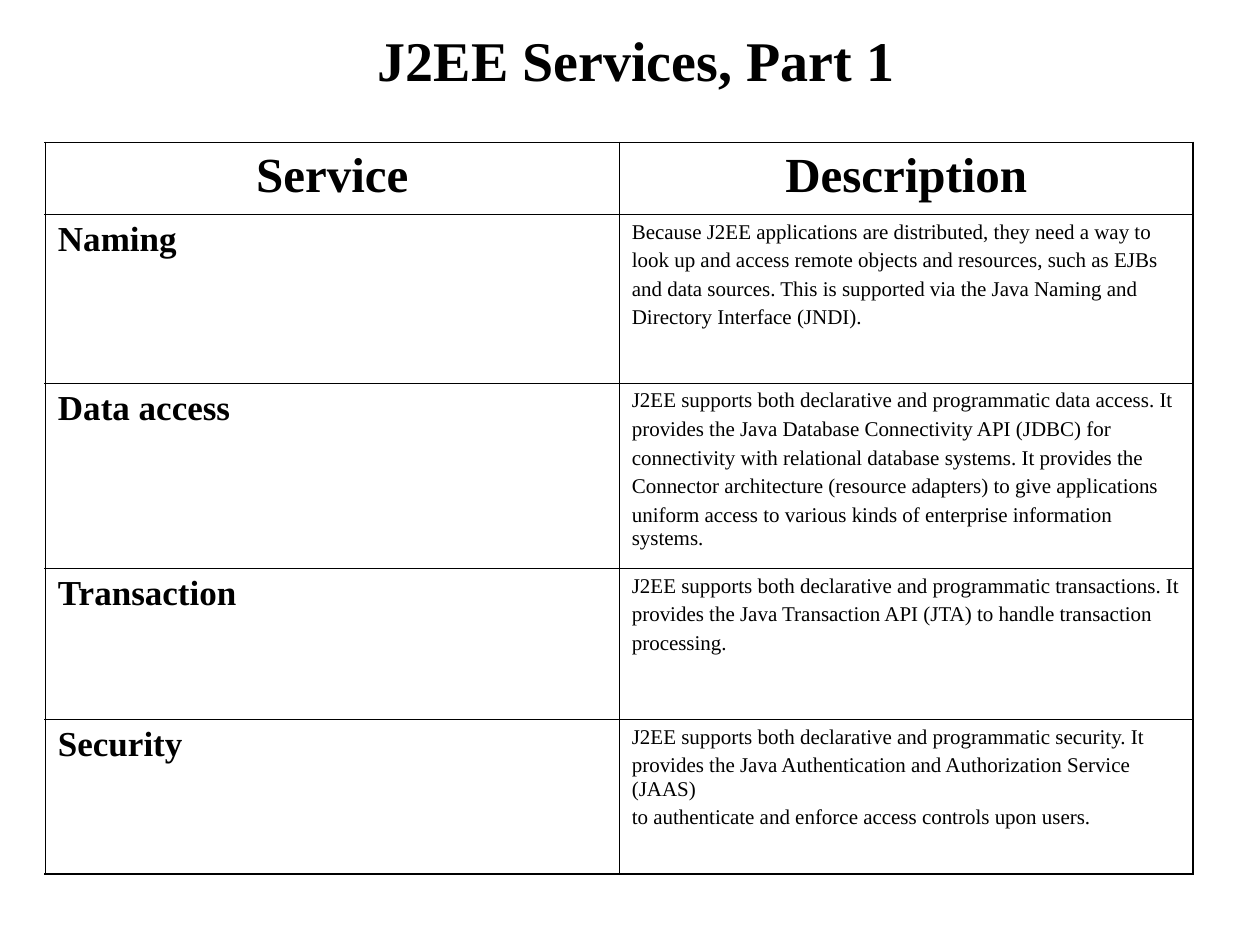
from lxml.etree import SubElement
from pptx import Presentation
from pptx.dml.color import RGBColor
from pptx.enum.text import MSO_ANCHOR, MSO_AUTO_SIZE, PP_ALIGN
from pptx.oxml.ns import qn
from pptx.util import Inches, Pt

HUES = {"ink": "000000", "page": "FFFFFF"}
FONT = "Times New Roman"
THICK, THIN = 1.08, 0.45
HEIGHTS = [0.57, 1.34, 1.47, 1.2, 1.23]
ROWS = [
    ("Service", "Description"),
    ("Naming",
     "Because J2EE applications are distributed, they need a way to\n"
     "look up and access remote objects and resources, such as EJBs\n"
     "and data sources. This is supported via the Java Naming and\n"
     "Directory Interface (JNDI)."),
    ("Data access",
     "J2EE supports both declarative and programmatic data access. It\n"
     "provides the Java Database Connectivity API (JDBC) for\n"
     "connectivity with relational database systems. It provides the\n"
     "Connector architecture (resource adapters) to give applications\n"
     "uniform access to various kinds of enterprise information systems."),
    ("Transaction",
     "J2EE supports both declarative and programmatic transactions. It\n"
     "provides the Java Transaction API (JTA) to handle transaction\n"
     "processing."),
    ("Security",
     "J2EE supports both declarative and programmatic security. It\n"
     "provides the Java Authentication and Authorization Service (JAAS)\n"
     "to authenticate and enforce access controls upon users."),
]


def write(frame, text, size, bold, align, before=0):
    """Fill a text frame and format each of its paragraphs."""
    frame.text = text
    for para in frame.paragraphs:
        para.alignment = align
        para.space_before = Pt(before)
        for run in para.runs:
            font = run.font
            font.name, font.size, font.bold = FONT, Pt(size), bold
            font.color.rgb = RGBColor.from_string(HUES["ink"])


def edge(cell, side, width):
    """Draw one border of a cell."""
    line = SubElement(cell._tc.get_or_add_tcPr(), qn(f"a:ln{side}"), w=str(Pt(width)))
    fill = SubElement(line, qn("a:solidFill"))
    SubElement(fill, qn("a:srgbClr"), val=HUES["ink"])


def add_title(slide, box):
    """Place the slide title in its box."""
    title = slide.shapes.title
    title.left, title.top, title.width, title.height = map(Inches, box)
    frame = title.text_frame
    frame.auto_size = MSO_AUTO_SIZE.NONE
    frame.vertical_anchor = MSO_ANCHOR.MIDDLE
    write(frame, "J2EE Services, Part 1", 32, True, PP_ALIGN.CENTER)


def add_grid(slide, box):
    """Place the table of services in its box."""
    count, wide = len(ROWS), len(ROWS[0])
    table = slide.shapes.add_table(count, wide, *map(Inches, box)).table
    table.first_row = table.horz_banding = False
    for row, height in zip(table.rows, HEIGHTS):
        row.height = Inches(height)
    for r, texts in enumerate(ROWS):
        for c, text in enumerate(texts):
            cell = table.cell(r, c)
            outer = {"L": c == 0, "R": c == wide - 1, "T": r == 0, "B": r == count - 1}
            for side, rim in outer.items():
                edge(cell, side, THICK if rim else THIN)
            cell.fill.background()
            if r == 0:
                style = 28, True, PP_ALIGN.CENTER, 7
            elif c == 0:
                style = 20, True, PP_ALIGN.LEFT, 5
            else:
                style = 12, False, PP_ALIGN.LEFT, 3
            write(cell.text_frame, text, *style)


def main():
    """Build the slide and save it."""
    deck = Presentation()
    deck.slide_width, deck.slide_height = Inches(10), Inches(7.5)
    slide = deck.slides.add_slide(deck.slide_layouts[5])
    back = slide.background.fill
    back.solid()
    back.fore_color.rgb = RGBColor.from_string(HUES["page"])
    add_title(slide, (0.8, 0.11, 8.5, 0.72))
    add_grid(slide, (0.36, 1.13, 9.11, sum(HEIGHTS)))
    deck.save("out.pptx")


if __name__ == "__main__":
    main()
